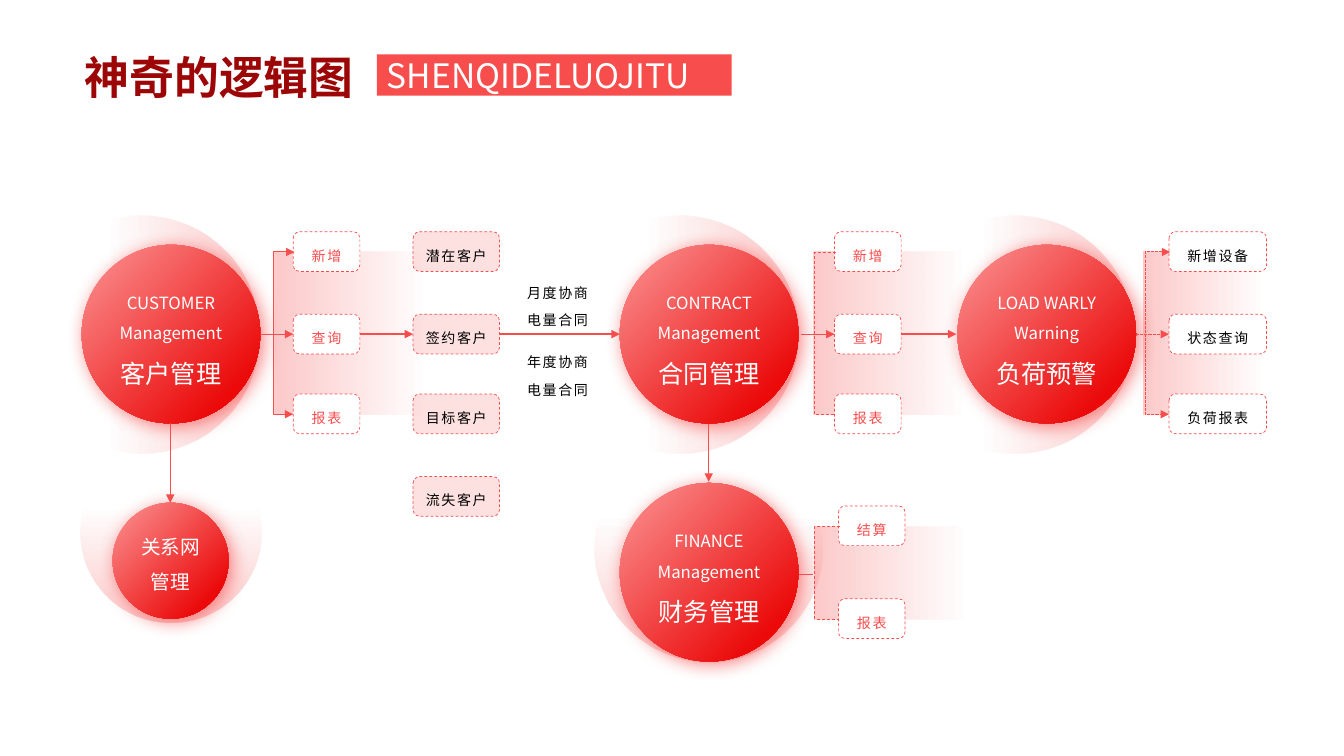
import pptx
import pptx.util
import pptx.dml.color
import pptx.enum.dml
import pptx.enum.shapes
import pptx.enum.text
import pptx.oxml.ns
import lxml.etree

Cm = pptx.util.Cm
Pt = pptx.util.Pt
RGBColor = pptx.dml.color.RGBColor
Shape = pptx.enum.shapes.MSO_SHAPE
Link = pptx.enum.shapes.MSO_CONNECTOR
Dash = pptx.enum.dml.MSO_LINE
Align = pptx.enum.text.PP_ALIGN
Anchor = pptx.enum.text.MSO_ANCHOR
qn = pptx.oxml.ns.qn
add = lxml.etree.SubElement

RED = RGBColor(0xF8, 0x4D, 0x4D)
DARK = RGBColor(0x9C, 0x06, 0x06)
LIGHT = RGBColor(0xFB, 0x94, 0x94)
DEEP = RGBColor(0xEB, 0x09, 0x09)
PINK = RGBColor(0xFC, 0xB8, 0xB8)
WHITE = RGBColor(0xFF, 0xFF, 0xFF)
BLACK = RGBColor(0, 0, 0)
SC = "Noto Sans CJK SC"
JP = "Noto Sans CJK JP"


def blend(fill, stops, angle):
    """Fill with (position, colour, opacity) stops, the angle in degrees clockwise."""
    fill.gradient()
    fill.gradient_angle = (360 - angle) % 360
    for stop, (place, color, alpha) in zip(fill.gradient_stops, stops):
        stop.position = place
        stop.color.rgb = color
        if alpha < 100:
            add(stop._element[0], qn("a:alpha"), val=str(alpha * 1000))


def write(shape, lines, face, sizes, color, align=Align.CENTER, space=1, track=0):
    frame = shape.text_frame
    frame.word_wrap = True
    frame.text = "\n".join(lines)
    for para, size in zip(frame.paragraphs, sizes):
        para.alignment = align
        para.line_spacing = space
        run = para.runs[0]
        run.font.name = face
        run.font.size = Pt(size)
        run.font.color.rgb = color
        props = run._r.get_or_add_rPr()
        add(props, qn("a:ea"), typeface=face)
        if track:
            props.set("spc", str(track))
    return frame


deck = pptx.Presentation()
deck.slide_width = Cm(33.87)
deck.slide_height = Cm(19.05)
slide = deck.slides.add_slide(deck.slide_layouts[5])
shapes = slide.shapes

# Title and banner
title = shapes.title
title.left, title.top, title.width, title.height = Cm(1.88), Cm(1.12), Cm(8.81), Cm(1.63)
frame = write(title, ["神奇的逻辑图"], SC, [32], DARK, Align.LEFT)
frame.vertical_anchor = Anchor.MIDDLE
frame.margin_top = frame.margin_bottom = 0
font = frame.paragraphs[0].runs[0].font
font.bold = True
blend(font.fill, [(0, DARK, 100), (1, RED, 100)], 225)

banner = shapes.add_shape(Shape.RECTANGLE, Cm(9.5), Cm(1.37), Cm(8.94), Cm(1.04))
banner.shadow.inherit = False
banner.fill.solid()
banner.fill.fore_color.rgb = RED
banner.line.fill.background()
frame = write(banner, ["SHENQIDELUOJITU"], JP, [24], WHITE, Align.JUSTIFY)
frame.vertical_anchor = Anchor.MIDDLE
frame.margin_top = frame.margin_bottom = 0

# Soft halos and bands
for kind, left, top, width, height, angle in [
    (Shape.RECTANGLE, 20.52, 13.26, 5.97, 2.36, 0),
    (Shape.OVAL, 0.56, 5.44, 5.99, 5.99, 180),
    (Shape.OVAL, 22.58, 5.44, 5.99, 5.99, 180),
    (Shape.OVAL, 14.12, 5.44, 5.99, 5.99, 180),
    (Shape.OVAL, 14.99, 10.92, 5.74, 5.74, 270),
    (Shape.OVAL, 2.03, 11.13, 4.55, 4.55, 270),
    (Shape.RECTANGLE, 28.83, 6.35, 4.75, 4.09, 0),
    (Shape.RECTANGLE, 20.5, 6.35, 5.97, 4.09, 0),
    (Shape.RECTANGLE, 6.91, 6.35, 5.97, 4.09, 0),
]:
    halo = shapes.add_shape(kind, Cm(left), Cm(top), Cm(width), Cm(height))
    halo.shadow.inherit = False
    halo.line.fill.background()
    blend(halo.fill, [(0, RED, 30), (0.63, RED, 0)], angle)

# Main circles
BIG = [12, 12, 18]
for left, top, size, inset, lines, face, sizes in [
    (2.06, 6.17, 4.5, 0.3, ["CUSTOMER", "Management", "客户管理"], SC, BIG),
    (15.62, 6.17, 4.5, 0.3, ["CONTRACT", "Management", "合同管理"], SC, BIG),
    (15.62, 12.17, 4.5, 0.3, ["FINANCE", "Management", "财务管理"], SC, BIG),
    (24.13, 6.17, 4.5, 0.3, ["LOAD WARLY", "Warning", "负荷预警"], SC, BIG),
    (2.84, 12.67, 2.92, 0.08, ["关系网", "管理"], JP, [14, 14]),
]:
    ball = shapes.add_shape(Shape.OVAL, Cm(left), Cm(top), Cm(size), Cm(size))
    ball.line.fill.background()
    blend(ball.fill, [(0, LIGHT, 100), (0.84, DEEP, 100)], 45)
    ball.shadow.inherit = False
    glow = add(ball._element.spPr.find(qn("a:effectLst")), qn("a:outerShdw"),
               blurRad=str(Pt(13)), dist=str(Pt(3)), dir="2700000", algn="tl", rotWithShape="0")
    add(add(glow, qn("a:srgbClr"), val=str(RED)), qn("a:alpha"), val="70000")
    frame = write(ball, lines, face, sizes, WHITE, space=1.5)
    frame.vertical_anchor = Anchor.TOP
    frame.margin_left = frame.margin_right = frame.margin_bottom = 0
    frame.margin_top = Cm(inset)

# Dashed boxes, one column at a time
ROWS = [5.84, 7.92, 9.93, 12.01]
columns = []
for left, width, tops, color, tint, labels in [
    (7.39, 1.68, ROWS, RED, WHITE, ["新增", "查询", "报表"]),
    (10.41, 2.18, ROWS, BLACK, PINK, ["潜在客户", "签约客户", "目标客户", "流失客户"]),
    (21.03, 1.68, ROWS, RED, WHITE, ["新增", "查询", "报表"]),
    (21.13, 1.68, [12.75, 15.09], RED, WHITE, ["结算", "报表"]),
    (29.46, 2.46, ROWS, BLACK, WHITE, ["新增设备", "状态查询", "负荷报表"]),
]:
    column = []
    for top, label in zip(tops, labels):
        box = shapes.add_shape(Shape.ROUNDED_RECTANGLE, Cm(left), Cm(top), Cm(width), Cm(1))
        box.shadow.inherit = False
        box.fill.solid()
        box.fill.fore_color.rgb = tint
        if tint == PINK:
            add(box._element.spPr.find(qn("a:solidFill"))[0], qn("a:alpha"), val="43000")
        box.line.color.rgb = RED
        box.line.width = Pt(0.5)
        box.line.dash_style = Dash.DASH
        frame = write(box, [label], JP, [10], color, space=1.3, track=120)
        frame.vertical_anchor = Anchor.MIDDLE
        frame.margin_left = frame.margin_right = frame.margin_bottom = 0
        frame.margin_top = Cm(0.07)
        column.append(box)
    columns.append(column)
client, group, deal, money, load = columns

# Notes above and below the contract arrow
for top, period in [(7.04, "月度协商"), (8.79, "年度协商")]:
    note = shapes.add_textbox(Cm(13.11), Cm(top), Cm(1.88), Cm(1.22))
    frame = write(note, [period, "电量合同"], JP, [10, 10], BLACK, space=1.3, track=120)
    frame.margin_left = frame.margin_right = frame.margin_top = frame.margin_bottom = 0
    frame.paragraphs[1].space_before = Pt(4)

# Straight links: ends, joined boxes, width, dash, arrow
MID = 8.42
links = []
for x1, y1, x2, y2, source, target, width, dash, ends in [
    (12.59, MID, 15.62, MID, group[1], None, 1, None, ["tail"]),
    (17.86, 10.69, 17.86, 12.14, None, None, 1, None, ["tail"]),
    (4.29, 10.67, 4.29, 12.67, None, None, 1, None, ["tail"]),
    (6.55, MID, 7.39, MID, None, client[1], 0.75, None, ["tail"]),
    (9.07, MID, 10.41, MID, client[1], group[1], 1, None, ["tail"]),
    (20.19, MID, 21.03, MID, None, deal[1], 0.75, None, ["tail"]),
    (22.71, MID, 24.1, MID, deal[1], None, 1, None, ["tail"]),
    (20.14, 14.48, 20.5, 14.48, None, None, 0.75, None, []),
    (28.63, MID, 29.46, MID, None, load[1], 0.75, Dash.SQUARE_DOT, ["tail"]),
]:
    link = shapes.add_connector(Link.STRAIGHT, Cm(x1), Cm(y1), Cm(x2), Cm(y2))
    if source:
        link.begin_connect(source, 3)
    if target:
        link.end_connect(target, 1)
    links.append((link, width, dash, ends))

# Brackets that reach out to the left of a column
for left, top, base, reach, width, dash, ends in [
    (7.39, 6.35, 10.44, 0.5, 0.75, None, ["head", "tail"]),
    (21.03, 6.35, 10.44, 0.5, 0.5, Dash.DASH, []),
    (21.13, 13.26, 15.6, 0.6, 0.5, Dash.DASH, []),
    (29.46, 6.35, 10.44, 0.6, 0.75, Dash.SQUARE_DOT, ["head", "tail"]),
]:
    link = shapes.add_connector(Link.ELBOW, Cm(left + 0.03), Cm(top), Cm(left), Cm(base))
    guides = link._element.spPr.find(qn("a:prstGeom")).find(qn("a:avLst"))
    bend = round((reach + 0.03) / 0.03 * 100000)
    add(guides, qn("a:gd"), name="adj1", fmla=f"val {bend}")
    links.append((link, width, dash, ends))

for link, width, dash, ends in links:
    link.line.color.rgb = RED
    link.line.width = Pt(width)
    if dash:
        link.line.dash_style = dash
    props = link._element.spPr
    for end in ends:
        add(props.find(qn("a:ln")), qn(f"a:{end}End"), type="triangle")
    add(props, qn("a:effectLst"))

deck.save("out.pptx")
